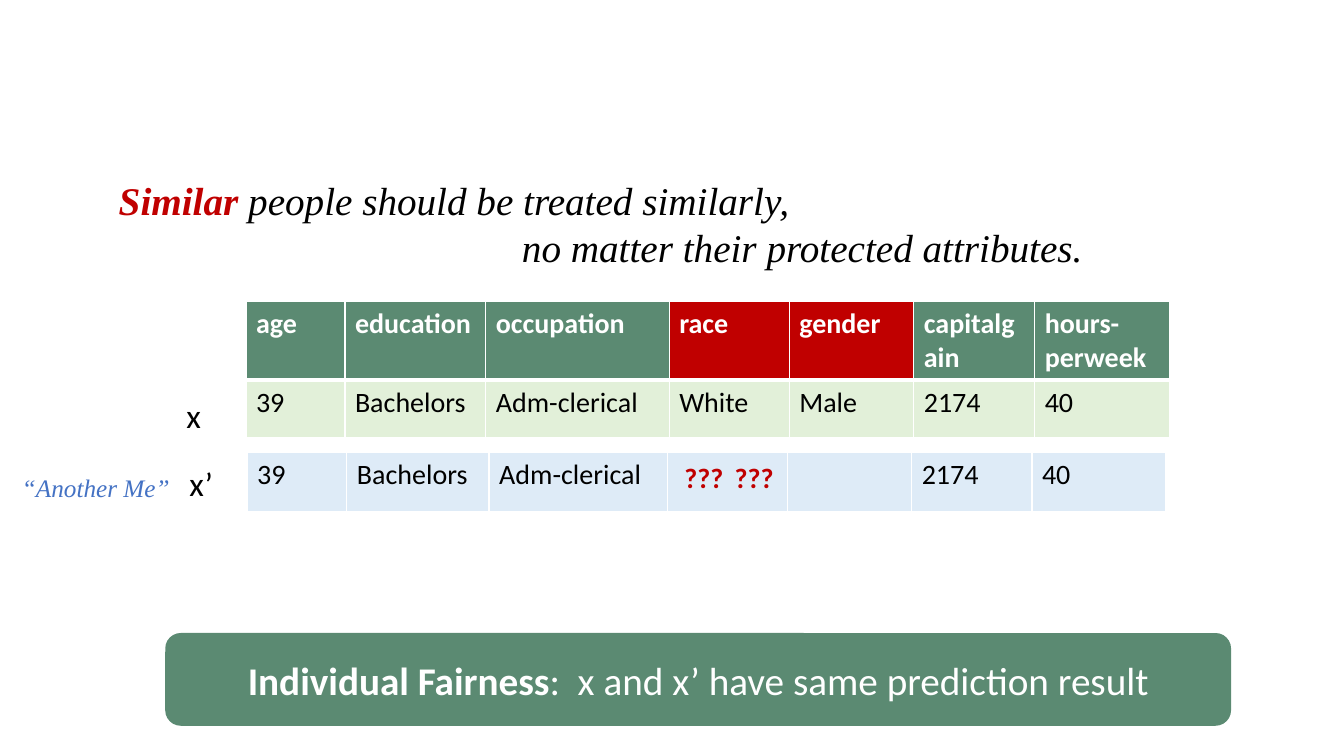
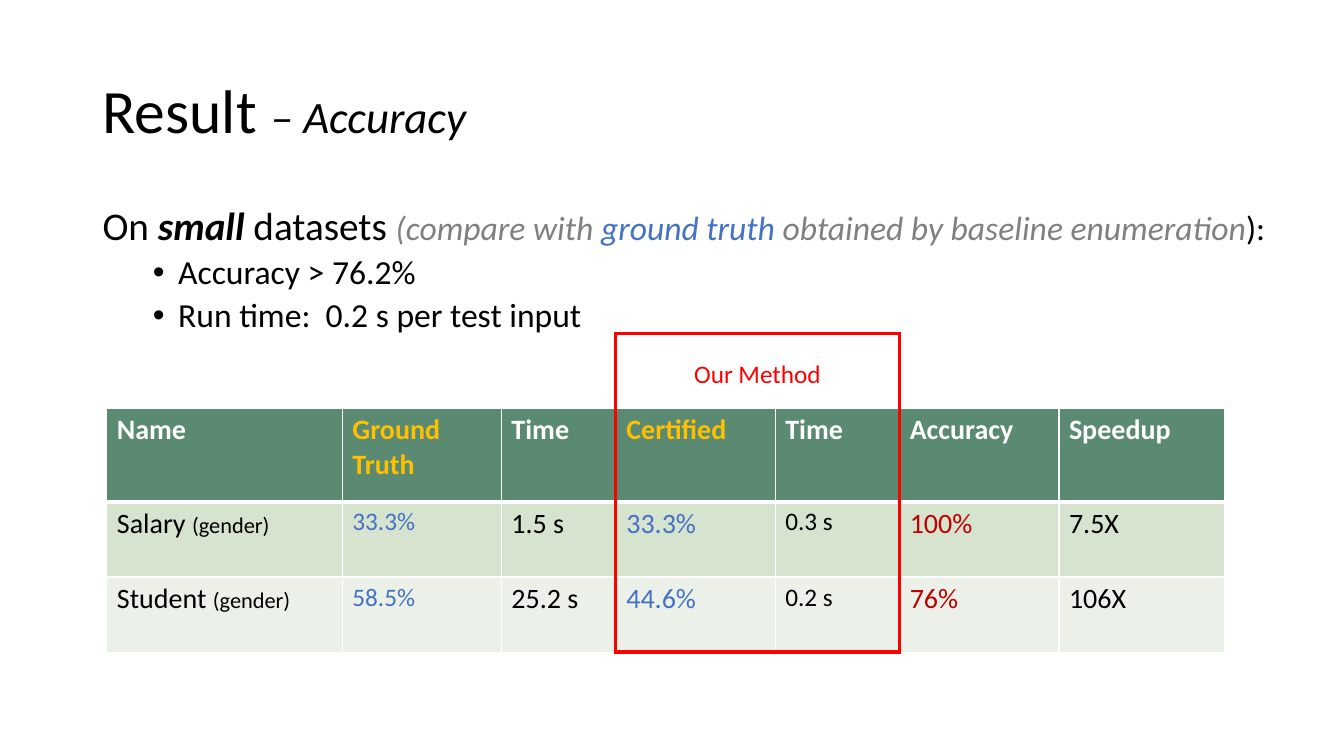
"""Build two slides on fairness: the idea, then the accuracy result."""
from dataclasses import dataclass
from typing import NamedTuple

from lxml.etree import SubElement
from pptx import Presentation
from pptx.dml.color import RGBColor
from pptx.enum.shapes import MSO_SHAPE
from pptx.enum.text import MSO_ANCHOR, MSO_AUTO_SIZE, PP_ALIGN
from pptx.oxml.ns import qn
from pptx.util import Inches, Pt

WIDE, HIGH = Inches(13.333), Inches(7.5)
HEX = {
    "black": "000000", "white": "FFFFFF", "gray": "808080", "green": "5B8A72",
    "crimson": "C00000", "red": "FF0000", "blue": "4472C4", "gold": "FFC000",
    "mint": "E2F0D9", "sky": "DEEBF7", "sage": "D5E3CF", "mist": "EBF1E9",
}
PLAIN = {"name": "Calibri", "size": 20, "color": "black", "bold": False, "italic": False}
QUOTE = {"name": "Times New Roman", "italic": True}
HEAD = {"color": "white", "bold": True}


class Box(NamedTuple):
    """Left, top, width and height as percent of the slide."""
    left: float
    top: float
    width: float
    height: float


class Run(NamedTuple):
    """A piece of text and what sets it off from plain."""
    text: str
    form: dict = {}


@dataclass
class Line:
    """A paragraph of runs, with indents and tab in inches and space in points."""
    runs: list[Run]
    align: PP_ALIGN = PP_ALIGN.LEFT
    margin: float = 0
    hang: float = 0
    space: float = 0
    pitch: float = 1.0
    level: int = 0
    tab: float = 0


@dataclass
class Cell:
    """A table cell with its fill and lower edge in points."""
    lines: list[Line]
    fill: str
    edge: float = 1


@dataclass
class Grid:
    """A table whose columns and rows are percent of the slide."""
    left: float
    top: float
    cols: list[float]
    rows: list[float]
    cells: list[list[Cell]]


def span(box: Box) -> tuple[int, ...]:
    """Turn percent into slide lengths."""
    return tuple(int(part * side / 100) for part, side in zip(box, (WIDE, HIGH) * 2))


def tint(name: str) -> RGBColor:
    """Look up a colour."""
    return RGBColor.from_string(HEX[name])


def line(text: str, **form) -> Line:
    """Make a paragraph of one run."""
    return Line([Run(text, form)])


def fill_text(frame, lines: list[Line]) -> None:
    """Write paragraphs into a text frame."""
    frame.word_wrap = True
    for spot, item in enumerate(lines):
        para = frame.add_paragraph() if spot else frame.paragraphs[0]
        rules = {"alignment": item.align, "level": item.level, "line_spacing": item.pitch,
                 "space_before": Pt(item.space)}
        for key, value in rules.items():
            setattr(para, key, value)
        props = para._p.get_or_add_pPr()
        props.set("marL", str(Inches(item.margin)))
        props.set("indent", str(Inches(item.hang)))
        if item.hang:
            SubElement(props, qn("a:buFont")).set("typeface", "Arial")
            SubElement(props, qn("a:buChar")).set("char", "•")
        else:
            SubElement(props, qn("a:buNone"))
        if item.tab:
            stops = SubElement(props, qn("a:tabLst"))
            SubElement(stops, qn("a:tab"), pos=str(Inches(item.tab)), algn="l")
        for piece in item.runs:
            form = {**PLAIN, **piece.form}
            run = para.add_run()
            run.text = piece.text
            run.font.color.rgb = tint(form.pop("color"))
            form["size"] = Pt(form["size"])
            for key, value in form.items():
                setattr(run.font, key, value)


def draw_text(slide, box: Box, lines: list[Line]) -> None:
    """Add a text box."""
    fill_text(slide.shapes.add_textbox(*span(box)).text_frame, lines)


def draw_shape(slide, kind: MSO_SHAPE, box: Box, lines: list[Line],
               fill: str = "", edge: str = ""):
    """Add a preset shape with text and return it."""
    shape = slide.shapes.add_shape(kind, *span(box))
    shape.shadow.inherit = False
    if fill:
        shape.fill.solid()
        shape.fill.fore_color.rgb = tint(fill)
    else:
        shape.fill.background()
    if edge:
        shape.line.color.rgb = tint(edge)
        shape.line.width = Pt(2.25)
        SubElement(shape.element.spPr.find(qn("a:ln")), qn("a:miter"), lim="800000")
    else:
        shape.line.fill.background()
    fill_text(shape.text_frame, lines)
    return shape


def set_holder(holder, box: Box, lines: list[Line], anchor: MSO_ANCHOR) -> None:
    """Move a placeholder and write its text."""
    for key, value in zip(("left", "top", "width", "height"), span(box)):
        setattr(holder, key, value)
    frame = holder.text_frame
    frame.auto_size = MSO_AUTO_SIZE.NONE
    frame.vertical_anchor = anchor
    fill_text(frame, lines)


def draw_cell(cell, item: Cell) -> None:
    """Give a table cell its edges, fill and text."""
    props = cell._tc.get_or_add_tcPr()
    for side in "LRTB":
        width = item.edge if side == "B" else 1
        edge = SubElement(props, qn(f"a:ln{side}"), w=str(Pt(width)))
        paint = SubElement(edge, qn("a:solidFill"))
        SubElement(paint, qn("a:srgbClr"), val=HEX["white"])
    cell.fill.solid()
    cell.fill.fore_color.rgb = tint(item.fill)
    fill_text(cell.text_frame, item.lines)


def draw_grid(slide, grid: Grid) -> None:
    """Add a table."""
    box = Box(grid.left, grid.top, sum(grid.cols), sum(grid.rows))
    table = slide.shapes.add_table(len(grid.rows), len(grid.cols), *span(box)).table
    table.first_row = table.horz_banding = False
    for col, share in zip(table.columns, grid.cols):
        col.width = int(share * WIDE / 100)
    for row, share, items in zip(table.rows, grid.rows, grid.cells):
        row.height = int(share * HIGH / 100)
        for cell, item in zip(row.cells, items):
            draw_cell(cell, item)


def draw_idea(slide) -> None:
    """Show two like people and the rule of fairness."""
    guard = ("race", "gender")
    names = ["age", "education", "occupation", *guard, "capitalgain", "hours-\nperweek"]
    head = [Cell([line(part, **HEAD) for part in name.split("\n")],
                 "crimson" if name in guard else "green", 3) for name in names]
    me = [Cell([line(text)], "mint")
          for text in ("39", "Bachelors", "Adm-clerical", "White", "Male", "2174", "40")]
    twin = [Cell([line(text)] if text else [], "sky", 3)
            for text in ("39", "Bachelors", "Adm-clerical", "", "", "2174", "40")]
    draw_grid(slide, Grid(18.38, 59.87, [7.43, 10.58, 13.29, 8.93, 9.23, 8.95, 9.95],
                          [8], [twin]))
    draw_grid(slide, Grid(18.3, 39.9, [7.37, 10.48, 13.65, 8.93, 9.27, 9, 10],
                          [10.4, 7.6], [head, me]))
    big = {**QUOTE, "size": 28}
    draw_text(slide, Box(8.1, 22.67, 85, 13.87), [
        Line([Run("Similar ", {**big, "color": "crimson", "bold": True}),
              Run("people should be treated similarly,", big)]),
        Line([Run("no matter their protected attributes.", big)], margin=4),
    ])
    draw_text(slide, Box(50.18, 60.27, 13.8, 5.87), [
        Line([Run("???\t???", {"color": "crimson", "bold": True})], tab=1.14),
    ])
    draw_text(slide, Box(13.13, 51.6, 4.65, 6.67), [line("x", size=24)])
    draw_text(slide, Box(13.35, 60.53, 4.65, 6.67), [line("x’", size=24)])
    draw_text(slide, Box(0.9, 61.87, 13.43, 5.33),
              [line("“Another Me”", **QUOTE, size=18, color="blue")])
    text = {"size": 28, "color": "white"}
    draw_shape(slide, MSO_SHAPE.ROUNDED_RECTANGLE, Box(12.3, 83.73, 79.3, 12.27), [
        Line([Run("Individual Fairness", {**text, "bold": True}),
              Run(":  x and x’ have same prediction result", text)], PP_ALIGN.CENTER),
    ], fill="green")


def draw_result(slide) -> None:
    """Show how near the method comes to ground truth."""
    set_holder(slide.shapes.title, Box(6.88, 5.33, 66.6, 19.33), [
        Line([Run("Result ", {"size": 44}), Run("– Accuracy", {"size": 32, "italic": True})],
             pitch=0.9),
    ], MSO_ANCHOR.MIDDLE)
    large, aside = {"size": 28}, {"size": 24, "italic": True, "color": "gray"}
    lead = Line([
        Run("On ", large), Run("small", {**large, "bold": True, "italic": True}),
        Run(" datasets ", large), Run("(compare with ", aside),
        Run("ground truth ", {**aside, "color": "blue"}),
        Run("obtained by baseline enumeration", aside), Run("):", {"size": 24}),
    ], pitch=0.9)
    points = [Line([Run(text, {"size": 24})], margin=0.75, hang=-0.25, space=5,
                   pitch=0.9, level=1)
              for text in ("Accuracy > 76.2%", "Run time:  0.2 s per test input")]
    set_holder(slide.placeholders[1], Box(6.88, 26.6, 88.5, 18.67), [lead, *points],
               MSO_ANCHOR.TOP)
    names = ("Name", "Ground Truth", "Time", "Certified", "Time", "Accuracy", "Speedup")
    gold = ("Ground Truth", "Certified")
    cells = [[Cell([line(name, bold=True, color="gold" if name in gold else "white")],
                   "green", 3) for name in names]]
    forms = ({"size": 18, "color": "blue"}, {}, {"color": "blue"}, {"size": 18},
             {"color": "crimson"}, {})
    data = (
        ("sage", "Salary ", "33.3%", "1.5 s", "33.3%", "0.3 s", "100%", "7.5X"),
        ("mist", "Student ", "58.5%", "25.2 s", "44.6%", "0.2 s", "76%", "106X"),
    )
    for fill, name, *facts in data:
        first = Cell([Line([Run(name), Run("(gender)", {"size": 16})])], fill)
        cells.append([first, *(Cell([line(fact, **form)], fill)
                               for fact, form in zip(facts, forms))])
    draw_grid(slide, Grid(7.95, 54, [17.53, 11.83, 8.55, 11.83, 9.26, 11.85, 12.34],
                          [12.37, 9.96, 9.96], cells))
    label = Line([Run("Our Method", {"size": 18, "color": "red"})], PP_ALIGN.CENTER)
    frame = draw_shape(slide, MSO_SHAPE.RECTANGLE, Box(45.78, 44.13, 21.15, 42.13),
                       [label], edge="red").text_frame
    frame.vertical_anchor = MSO_ANCHOR.TOP
    frame.margin_top = Inches(0.24)


def main() -> None:
    """Build and save the deck."""
    deck = Presentation()
    deck.slide_width, deck.slide_height = WIDE, HIGH
    for layout, draw in ((6, draw_idea), (1, draw_result)):
        draw(deck.slides.add_slide(deck.slide_layouts[layout]))
    deck.save("out.pptx")


if __name__ == "__main__":
    main()
